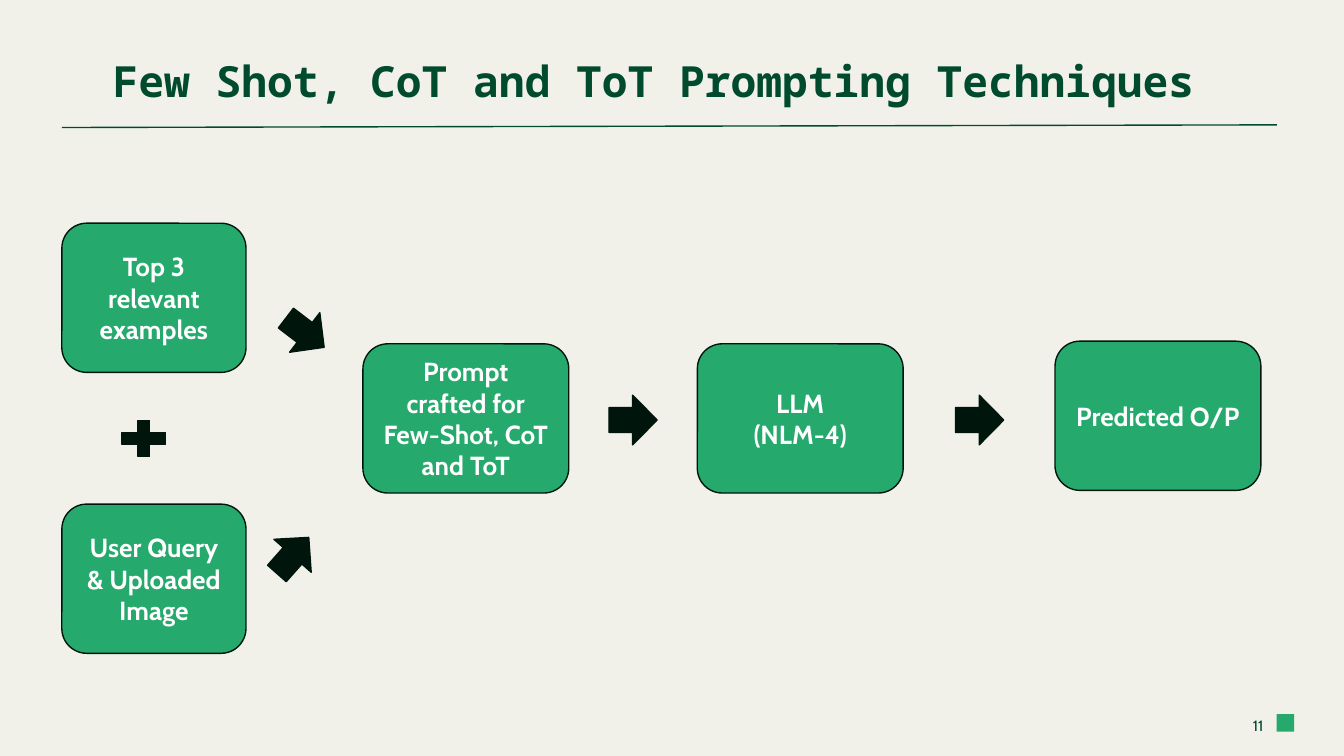
"""Build the slide on few-shot, CoT and ToT prompting."""
from dataclasses import dataclass

from lxml.etree import SubElement
from pptx import Presentation
from pptx.dml.color import RGBColor
from pptx.enum.shapes import MSO_CONNECTOR, MSO_SHAPE
from pptx.enum.text import MSO_ANCHOR, PP_ALIGN
from pptx.oxml.ns import qn
from pptx.util import Cm, Pt


@dataclass(frozen=True)
class Theme:
    paper: RGBColor = RGBColor.from_string("F1F1E9")
    green: RGBColor = RGBColor.from_string("26A96C")
    forest: RGBColor = RGBColor.from_string("004A2E")
    ink: RGBColor = RGBColor.from_string("00160D")
    white: RGBColor = RGBColor.from_string("FFFFFF")
    title_font: str = "Noto Sans Mono"
    body_font: str = "Cabin"
    title_size: Pt = Pt(23)
    step_size: Pt = Pt(14)
    number_size: Pt = Pt(8)
    stroke: Pt = Pt(0.75)
    inset: Cm = Cm(0.25)


THEME = Theme()


def write(frame, lines, font, size, color, bold, align, anchor):
    frame.word_wrap = True
    frame.vertical_anchor = anchor
    frame.margin_left = frame.margin_right = THEME.inset
    frame.margin_top = frame.margin_bottom = THEME.inset
    for index, line in enumerate(lines):
        paragraph = frame.add_paragraph() if index else frame.paragraphs[0]
        paragraph.text = line
        paragraph.alignment = align
        paragraph.font.name = font
        paragraph.font.size = size
        paragraph.font.bold = bold
        paragraph.font.color.rgb = color


def add_solid(slide, kind, left, top, width, height, fill, outline=None):
    solid = slide.shapes.add_shape(kind, Cm(left), Cm(top), Cm(width), Cm(height))
    solid.shadow.inherit = False
    solid.fill.solid()
    solid.fill.fore_color.rgb = fill
    if outline is None:
        solid.line.fill.background()
    else:
        solid.line.color.rgb = outline
        solid.line.width = THEME.stroke
    return solid


def add_step(slide, lines, left, top, width):
    step = add_solid(slide, MSO_SHAPE.ROUNDED_RECTANGLE, left, top, width, 2.82,
                     THEME.green, THEME.ink)
    step.adjustments[0] = 0.167
    write(step.text_frame, lines, THEME.body_font, THEME.step_size, THEME.white,
          True, PP_ALIGN.CENTER, MSO_ANCHOR.MIDDLE)


def add_arrow(slide, left, top, rotation=0):
    arrow = add_solid(slide, MSO_SHAPE.RIGHT_ARROW, left, top, 0.91, 0.94,
                      THEME.ink, THEME.ink)
    arrow.adjustments[1] = 0.508
    arrow.rotation = rotation


def add_plus(slide, left, top):
    plus = add_solid(slide, MSO_SHAPE.MATH_PLUS, left, top, 1.12, 0.94,
                     THEME.ink, THEME.ink)
    plus.adjustments[0] = 0.235


def add_title(slide, title):
    heading = slide.shapes.add_textbox(Cm(1.88), Cm(0.69), Cm(21.84), Cm(0.71))
    write(heading.text_frame, [title], THEME.title_font, THEME.title_size,
          THEME.forest, True, PP_ALIGN.LEFT, MSO_ANCHOR.TOP)
    paragraph = heading.text_frame.paragraphs[0]
    paragraph.line_spacing = 1.1
    paragraph.space_after = Pt(4)
    rule = slide.shapes.add_connector(MSO_CONNECTOR.STRAIGHT, Cm(1.17), Cm(2.41),
                                      Cm(24.13), Cm(2.36))
    rule.line.color.rgb = THEME.forest
    rule.line.width = THEME.stroke
    SubElement(rule._element.spPr, qn("a:effectLst"))


def add_page_number(slide, number):
    add_solid(slide, MSO_SHAPE.RECTANGLE, 24.13, 13.5, 0.33, 0.33, THEME.green)
    page = slide.shapes.add_textbox(Cm(22.86), Cm(13.34), Cm(1.27), Cm(0.76))
    write(page.text_frame, [number], THEME.body_font, THEME.number_size,
          THEME.forest, False, PP_ALIGN.RIGHT, MSO_ANCHOR.MIDDLE)


def main():
    deck = Presentation()
    deck.slide_width, deck.slide_height = Cm(25.4), Cm(14.29)
    slide = deck.slides.add_slide(deck.slide_layouts[6])
    slide.background.fill.solid()
    slide.background.fill.fore_color.rgb = THEME.paper

    add_title(slide, "Few Shot, CoT and ToT Prompting Techniques")
    add_page_number(slide, "11")

    inputs = [("Top 3 relevant examples", 4.22),
              ("User Query & Uploaded Image", 9.53)]
    for label, top in inputs:
        add_step(slide, [label], 1.17, top, 3.48)
    add_plus(slide, 2.16, 7.82)

    stages = [(["Prompt crafted for Few-Shot, CoT and ToT"], 6.86, 6.5),
              (["LLM", "(NLM-4)"], 13.18, 6.5),
              (["Predicted O/P"], 19.94, 6.45)]
    for lines, left, top in stages:
        add_step(slide, lines, left, top, 3.89)

    arrows = [(5.31, 5.82, 37.4), (5.08, 10.03, 311.5),
              (11.51, 7.47, 0), (18.06, 7.47, 0)]
    for left, top, rotation in arrows:
        add_arrow(slide, left, top, rotation)

    deck.save("out.pptx")


if __name__ == "__main__":
    main()
